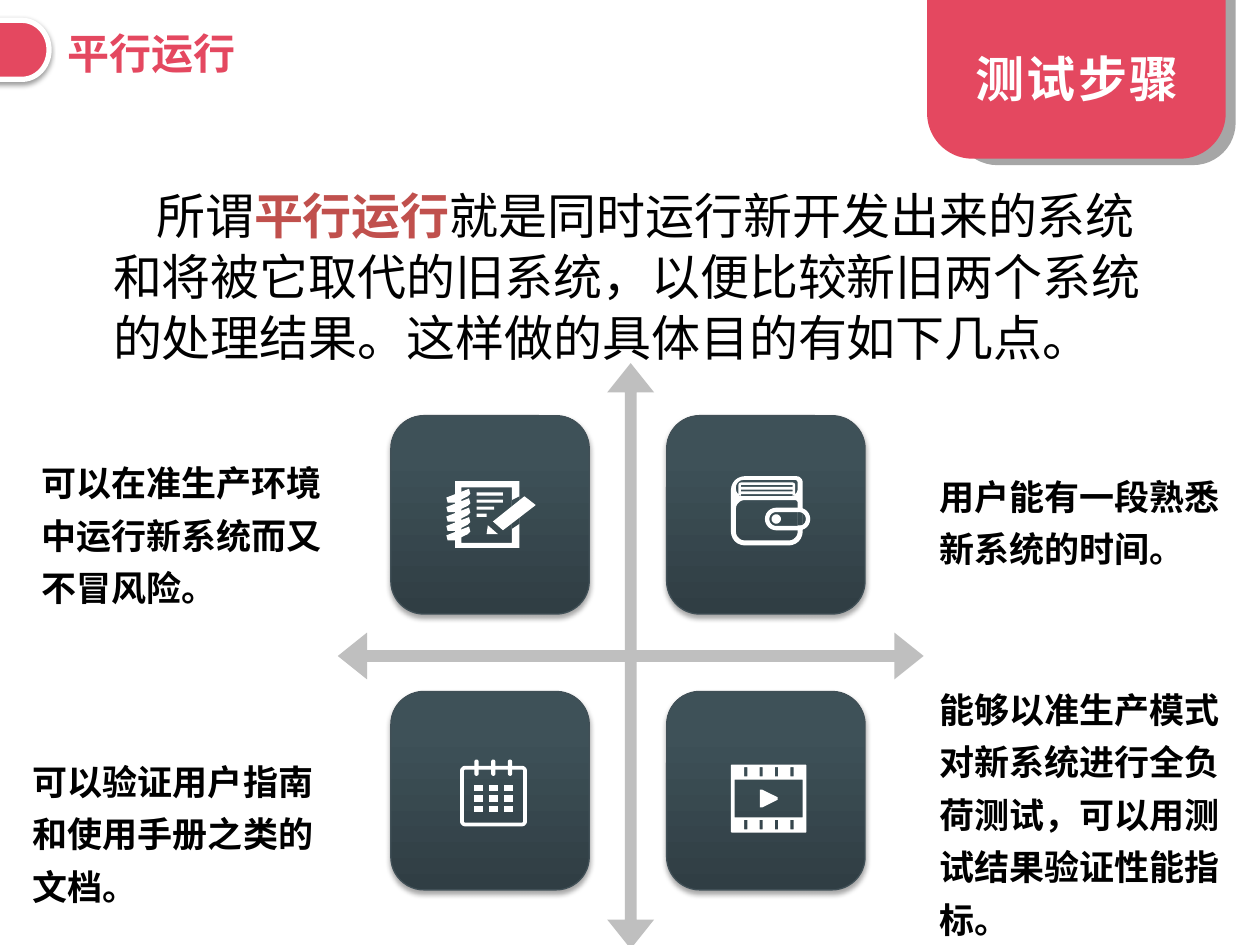
import math

from lxml import etree
from pptx import Presentation
from pptx.dml.color import RGBColor
from pptx.enum.shapes import MSO_SHAPE
from pptx.enum.text import MSO_ANCHOR, MSO_AUTO_SIZE, PP_ALIGN
from pptx.oxml.ns import qn
from pptx.util import Cm, Pt

ROUNDED = MSO_SHAPE.ROUNDED_RECTANGLE
RECTANGLE = MSO_SHAPE.RECTANGLE
DELAY = MSO_SHAPE.FLOWCHART_DELAY
QUAD_ARROW = MSO_SHAPE.QUAD_ARROW
LEFT, CENTER = PP_ALIGN.LEFT, PP_ALIGN.CENTER
MIDDLE = MSO_ANCHOR.MIDDLE
FIT_SHAPE = MSO_AUTO_SIZE.SHAPE_TO_FIT_TEXT

RED = RGBColor(0xE4, 0x48, 0x60)
TERM_RED = RGBColor(0xC0, 0x50, 0x4D)
WHITE = RGBColor(0xFF, 0xFF, 0xFF)
BLACK = RGBColor(0, 0, 0)
ARROW_GRAY = RGBColor(0xBF, 0xBF, 0xBF)
SHADE_GRAY = RGBColor(0xA6, 0xA6, 0xA6)
TILE_DARK = RGBColor(0x30, 0x3E, 0x44)
TILE_LIGHT = RGBColor(0x3E, 0x51, 0x58)
TILE_EDGE = RGBColor(0x41, 0x50, 0x57)

CJK = "Noto Sans CJK SC"
LATIN = "Calibri"

# Two-by-two tile grid, in cm
TILE_X, TILE_Y, TILE_PITCH, TILE_SIZE = 7.88, 8.38, 5.56, 4.0
# Caption text boxes, in cm
CAPTION_WIDTH, CAPTION_LINE, CAPTION_MARGIN = 6.76, 1.07, 0.18
# Icons are drawn in hundredths of an inch from their tile's corner,
# and stored FINE times larger because freeform points are whole numbers
ICON_UNIT = Cm(2.54) / 100
FINE = 10


# Shapes and text

def add_panel(slide, kind, box, fill=None, line=None, width=0):
    sp = slide.shapes.add_shape(kind, *map(Cm, box))
    sp.shadow.inherit = False
    if fill is not None:
        sp.fill.solid()
        sp.fill.fore_color.rgb = fill
    if line is None:
        sp.line.fill.background()
    else:
        sp.line.color.rgb = line
        sp.line.width = Pt(width)
    return sp


def add_shadow(sp, alpha, dist):
    effects = sp._element.spPr.find(qn("a:effectLst"))
    shadow = etree.SubElement(effects, qn("a:outerShdw"), blurRad=str(Pt(3.1)),
                              dist=str(Pt(dist)), dir="5400000", rotWithShape="0")
    color = etree.SubElement(shadow, qn("a:srgbClr"), val="000000")
    etree.SubElement(color, qn("a:alpha"), val=str(alpha * 1000))


def add_run(p, text, size, color, bold=True, font=CJK):
    r = p.add_run()
    r.text = text
    r.font.size = Pt(size)
    r.font.bold = bold
    r.font.color.rgb = color
    r.font.name = font
    etree.SubElement(r._r.get_or_add_rPr(), qn("a:ea"), typeface=CJK)
    return r


def add_text_box(slide, box, align=LEFT, spacing=None):
    """Add a wrapping text box and return its empty first paragraph."""
    tf = slide.shapes.add_textbox(*map(Cm, box)).text_frame
    tf.word_wrap = True
    tf.auto_size = FIT_SHAPE
    p = tf.paragraphs[0]
    p.alignment = align
    p.line_spacing = spacing
    return p


# Icon outlines: each function returns a list of points

def arc(cx, cy, radius, start, sweep=90, steps=6):
    angles = (math.radians(start + sweep * i / steps) for i in range(steps + 1))
    return [(cx + radius * math.cos(a), cy + radius * math.sin(a)) for a in angles]


def circle(cx, cy, radius):
    return arc(cx, cy, radius, 0, sweep=360, steps=24)


def rect(x, y, width, height):
    return [(x, y), (x + width, y), (x + width, y + height), (x, y + height)]


def round_rect(x, y, width, height, radius, top_right=None):
    right, bottom = x + width, y + height
    tr = radius if top_right is None else top_right
    return (arc(x + radius, y + radius, radius, 180)
            + arc(right - tr, y + tr, tr, 270)
            + arc(right - radius, bottom - radius, radius, 0)
            + arc(x + radius, bottom - radius, radius, 90))


def pill(x, y, width, height):
    return round_rect(x, y, width, height, height / 2)


def shift_down(points, distance):
    return [(x, y + distance) for x, y in points]


def add_outline(slide, tile, *contours):
    """Add one white freeform; a contour inside another cuts a hole in it."""
    scaled = [[(x * FINE, y * FINE) for x, y in points] for points in contours]
    builder = slide.shapes.build_freeform(*scaled[0][0], scale=ICON_UNIT / FINE)
    for points in scaled:
        builder.move_to(*points[0])
        builder.add_line_segments(points[1:], close=True)
    sp = builder.convert_to_shape(tile.left, tile.top)
    sp.shadow.inherit = False
    sp.fill.solid()
    sp.fill.fore_color.rgb = WHITE
    sp.line.fill.background()


# Icons

def draw_notepad(slide, tile):
    sheet = rect(51, 52, 51, 53)
    inside = rect(56, 57, 40, 44)
    pencil_gap = [(96, 67), (102, 64), (102, 86), (96, 90)]
    add_outline(slide, tile, sheet, inside, pencil_gap)

    coil = [(44, 65), (62, 58), (63, 62), (61, 64), (51, 69), (45, 69)]
    coils = [shift_down(coil, 7.5 * i) for i in range(5)]
    add_outline(slide, tile, *coils)

    line_widths = (21, 21, 14, 8)
    lines = [rect(68, 61 + 5.6 * i, w, 2.5) for i, w in enumerate(line_widths)]
    tip = [(76, 94), (85, 94), (77, 87)]
    shaft = [(106, 64), (81, 84), (89, 91), (115, 71)]
    add_outline(slide, tile, *lines, tip, shaft)


def draw_wallet(slide, tile):
    body = round_rect(51, 48, 57, 55, 11, top_right=5)
    front = round_rect(55, 67, 49, 32, 7, top_right=2)
    clasp_gap = rect(104, 76, 4, 11)
    cover = round_rect(55, 51, 49, 13, 6, top_right=2)
    pages = round_rect(57, 53, 45, 11, 2)
    stripes = [rect(59, 55 + 3.6 * i, 41, 1.6) for i in range(3)]
    add_outline(slide, tile, body, front, clasp_gap, cover, pages, *stripes)
    add_outline(slide, tile, pill(78, 73, 36, 18), pill(81.5, 76.5, 29, 11), circle(87, 82, 3.7))


def draw_calendar(slide, tile):
    add_outline(slide, tile, round_rect(55, 59, 53, 48, 4), round_rect(58, 62, 47, 42, 1))
    for col in range(3):
        add_outline(slide, tile, pill_upright(66.3 + 13.3 * col, 54, 3.4, 13))
        for row in range(3):
            add_outline(slide, tile, rect(66 + 12 * col, 74 + 8.5 * row, 7, 5))


def pill_upright(x, y, width, height):
    return round_rect(x, y, width, height, width / 2)


def draw_film(slide, tile):
    strip = round_rect(51, 58, 60, 54, 1)
    frame = rect(54, 70, 54, 30)
    sprockets = [rect(61.5 + 12.25 * i, y, 2.5, 7.5) for y in (60, 102) for i in range(4)]
    add_outline(slide, tile, strip, frame, *sprockets)
    add_outline(slide, tile, [(74, 78), (76, 78), (88, 84), (88, 86), (76, 92), (74, 92)])


# Slide parts

def add_tile(slide, col, row):
    box = (TILE_X + col * TILE_PITCH, TILE_Y + row * TILE_PITCH, TILE_SIZE, TILE_SIZE)
    sp = add_panel(slide, ROUNDED, box, line=TILE_EDGE, width=0.75)
    sp.fill.gradient()
    sp.fill.gradient_angle = 90
    colors = ((0, TILE_DARK), (0.8, TILE_LIGHT))
    for stop, (position, color) in zip(sp.fill.gradient_stops, colors):
        stop.position = position
        stop.color.rgb = color
    add_shadow(sp, 35, 1.8)
    return sp


def add_caption(slide, x, y, lines, text):
    box = (x, y, CAPTION_WIDTH, CAPTION_MARGIN + CAPTION_LINE * lines)
    add_run(add_text_box(slide, box, spacing=1.25), text, 20, BLACK, font=LATIN)


def add_header(slide):
    tab = add_panel(slide, DELAY, (-0.1, 0.41, 1.09, 1.19), RED, WHITE, 3)
    add_shadow(tab, 38, 1.6)
    tf = add_panel(slide, RECTANGLE, (1.12, 0.43, 6.58, 1.27), WHITE).text_frame
    tf.vertical_anchor = MIDDLE
    tf.paragraphs[0].alignment = LEFT
    add_run(tf.paragraphs[0], "平行运行", 24, RED)


def add_banner(slide):
    add_panel(slide, ROUNDED, (19.25, -1.8, 5.66, 5.13), SHADE_GRAY)
    add_panel(slide, ROUNDED, (18.69, -2.31, 6.02, 5.51), RED)
    p = add_text_box(slide, (17.86, 0.86, 7.7, 1.45), CENTER)
    r = add_run(p, "测试步骤", 28, WHITE)
    r._r.get_or_add_rPr().set("spc", "150")


def add_introduction(slide):
    p = add_text_box(slide, (2.03, 3.56, 21.39, 3.99), spacing=Pt(35))
    p.space_before = Pt(6)
    p._p.get_or_add_pPr().set("indent", str(Cm(0.87)))
    add_run(p, "所谓", 28, BLACK, bold=False)
    add_run(p, "平行运行", 28, TERM_RED)
    add_run(p, "就是同时运行新开发出来的系统和将被它取代的旧系统，"
               "以便比较新旧两个系统的处理结果。这样做的具体目的有如下几点。", 28, BLACK, bold=False)


def main():
    prs = Presentation()
    prs.slide_width, prs.slide_height = Cm(25.4), Cm(19.05)
    slide = prs.slides.add_slide(prs.slide_layouts[6])

    # Crossed arrows: shaft width, head width, head length
    cross = add_panel(slide, QUAD_ARROW, (6.81, 7.32, 11.81, 11.81), ARROW_GRAY)
    for i, share in enumerate((0.02, 0.04, 0.05)):
        cross.adjustments[i] = share

    # Goals: column, row, icon, then the caption's left, top, line count and text
    goals = (
        (1, 0, draw_wallet, 18.69, 9.25, 2, "用户能有一段熟悉新系统的时间。"),
        (1, 1, draw_film, 18.69, 13.54, 5,
         "能够以准生产模式对新系统进行全负荷测试，可以用测试结果验证性能指标。"),
        (0, 0, draw_notepad, 0.58, 8.97, 3, "可以在准生产环境中运行新系统而又不冒风险。"),
        (0, 1, draw_calendar, 0.41, 14.99, 3, "可以验证用户指南和使用手册之类的文档。"),
    )
    for col, row, draw_icon, *caption in goals:
        add_caption(slide, *caption)
        draw_icon(slide, add_tile(slide, col, row))

    add_header(slide)
    add_banner(slide)
    add_introduction(slide)
    prs.save("out.pptx")


if __name__ == "__main__":
    main()
